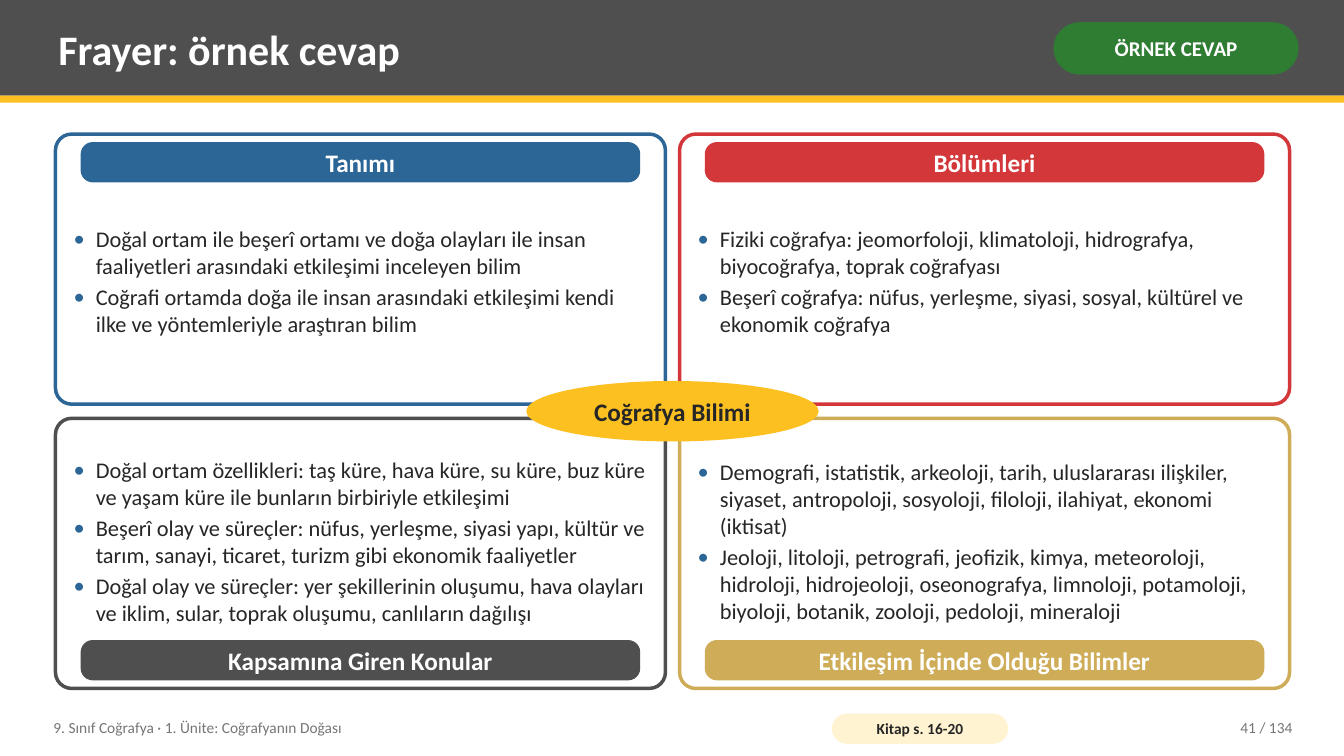
from collections import namedtuple

from lxml.etree import SubElement
from pptx import Presentation
from pptx.dml.color import RGBColor
from pptx.enum.shapes import MSO_SHAPE
from pptx.enum.text import MSO_ANCHOR, MSO_AUTO_SIZE, PP_ALIGN
from pptx.oxml.ns import qn
from pptx.util import Inches, Pt

COLUMNS, ROWS = 1333, 750
UNIT = Inches(0.01)
GAP = 14
FONT = "Calibri"
COLORS = {
    "white": "FFFFFF",
    "ink": "262626",
    "gray": "4F4F4F",
    "muted": "767676",
    "yellow": "FCC021",
    "cream": "FFF3D1",
    "green": "2E7D32",
    "blue": "2C6696",
    "red": "D3373A",
    "gold": "CEAC58",
}
Box = namedtuple("Box", "left top width height")
Panel = namedtuple("Panel", "heading color items")

PANELS = [
    Panel("Tanımı", "blue", [
        "Doğal ortam ile beşerî ortamı ve doğa olayları ile insan faaliyetleri arasındaki etkileşimi inceleyen bilim",
        "Coğrafi ortamda doğa ile insan arasındaki etkileşimi kendi ilke ve yöntemleriyle araştıran bilim",
    ]),
    Panel("Bölümleri", "red", [
        "Fiziki coğrafya: jeomorfoloji, klimatoloji, hidrografya, biyocoğrafya, toprak coğrafyası",
        "Beşerî coğrafya: nüfus, yerleşme, siyasi, sosyal, kültürel ve ekonomik coğrafya",
    ]),
    Panel("Kapsamına Giren Konular", "gray", [
        "Doğal ortam özellikleri: taş küre, hava küre, su küre, buz küre ve yaşam küre ile bunların birbiriyle etkileşimi",
        "Beşerî olay ve süreçler: nüfus, yerleşme, siyasi yapı, kültür ve tarım, sanayi, ticaret, turizm gibi ekonomik faaliyetler",
        "Doğal olay ve süreçler: yer şekillerinin oluşumu, hava olayları ve iklim, sular, toprak oluşumu, canlıların dağılışı",
    ]),
    Panel("Etkileşim İçinde Olduğu Bilimler", "gold", [
        "Demografi, istatistik, arkeoloji, tarih, uluslararası ilişkiler, siyaset, antropoloji, sosyoloji, filoloji, ilahiyat, ekonomi (iktisat)",
        "Jeoloji, litoloji, petrografi, jeofizik, kimya, meteoroloji, hidroloji, hidrojeoloji, oseonografya, limnoloji, potamoloji, biyoloji, botanik, zooloji, pedoloji, mineraloji",
    ]),
]


def color(name):
    return RGBColor.from_string(COLORS[name])


def lengths(box):
    return [value * UNIT for value in box]


def write(shape, text, size, ink, bold=False, align=PP_ALIGN.LEFT, insets=(8, 4)):
    frame = shape.text_frame
    frame.text = text
    frame.word_wrap = True
    frame.auto_size = MSO_AUTO_SIZE.NONE
    frame.vertical_anchor = MSO_ANCHOR.MIDDLE
    frame.margin_left = frame.margin_right = insets[0] * UNIT
    frame.margin_top = frame.margin_bottom = insets[1] * UNIT
    for para in frame.paragraphs:
        para.alignment = align
        para.space_before = Pt(0)
        for span in para.runs:
            span.font.name = FONT
            span.font.size = Pt(size)
            span.font.bold = bold
            span.font.color.rgb = color(ink)


def add_block(page, kind, box, fill, rounding=None, border=None):
    shape = page.shapes.add_shape(kind, *lengths(box))
    shape.shadow.inherit = False
    shape.fill.solid()
    shape.fill.fore_color.rgb = color(fill)
    if border:
        shape.line.color.rgb = color(border)
        shape.line.width = Pt(2.5)
    else:
        shape.line.fill.background()
    if rounding is not None:
        shape.adjustments[0] = rounding
    return shape


def add_label(page, kind, box, fill, text, size, ink, insets, rounding=None):
    shape = add_block(page, kind, box, fill, rounding)
    write(shape, text, size, ink, True, PP_ALIGN.CENTER, insets)


def place_on_top(placeholder, box):
    placeholder.left, placeholder.top, placeholder.width, placeholder.height = lengths(box)
    placeholder.element.getparent().append(placeholder.element)


def add_bullet(para):
    properties = para._p.get_or_add_pPr()
    properties.set("marL", str(22 * UNIT))
    properties.set("indent", str(-22 * UNIT))
    tint = SubElement(properties, qn("a:buClr"))
    SubElement(tint, qn("a:srgbClr"), val=COLORS["blue"])
    SubElement(properties, qn("a:buFont"), typeface=FONT)
    SubElement(properties, qn("a:buChar"), char="•")


def draw_header(page, box):
    add_block(page, MSO_SHAPE.RECTANGLE, box, "gray")
    add_block(page, MSO_SHAPE.RECTANGLE, Box(box.left, box.top + box.height, box.width, 7), "yellow")
    title = page.shapes.title
    place_on_top(title, Box(box.left + 50, box.top + 7, 975, 82))
    write(title, "Frayer: örnek cevap", 30, "white", True)
    badge = Box(box.left + box.width - 288, box.top + 22, 243, 52)
    add_label(page, MSO_SHAPE.ROUNDED_RECTANGLE, badge, "green", "ÖRNEK CEVAP", 15, "white", (5, 2), 0.5)


def draw_panel(page, box, panel, body, heading_on_top):
    add_block(page, MSO_SHAPE.ROUNDED_RECTANGLE, box, "white", 0.06, panel.color)
    heading_offset, body_offset = (8, 51) if heading_on_top else (box.height - 48, 27)
    heading = Box(box.left + 25, box.top + heading_offset, box.width - 50, 40)
    add_label(page, MSO_SHAPE.ROUNDED_RECTANGLE, heading, panel.color, panel.heading, 18, "white", (14, 1), 0.3)
    place_on_top(body, Box(box.left + 10, box.top + body_offset, box.width - 20, 190))
    write(body, "\n".join(panel.items), 16, "ink")
    paragraphs = body.text_frame.paragraphs
    for para in paragraphs:
        add_bullet(para)
    for para in paragraphs[:-1]:
        para.space_after = Pt(3)


def draw_frayer(page, box):
    width, height = (box.width - GAP) / 2, (box.height - GAP) / 2
    bodies = [shape for shape in page.placeholders if shape.placeholder_format.idx != 0]
    for index, (panel, body) in enumerate(zip(PANELS, bodies)):
        row, column = divmod(index, 2)
        cell = Box(box.left + column * (width + GAP), box.top + row * (height + GAP), width, height)
        cell = Box(*(int(value) for value in cell))
        draw_panel(page, cell, panel, body, row == 0)
    center = Box(box.left + box.width // 2 - 145, box.top + box.height // 2 - 30, 290, 60)
    add_label(page, MSO_SHAPE.OVAL, center, "yellow", "Coğrafya Bilimi", 18, "ink", (3, 2))


def draw_footer(page, box):
    unit_name = Box(box.left, box.top, 760, box.height)
    page_number = Box(box.left + box.width - 160, box.top, 160, box.height)
    notes = [
        (unit_name, "9. Sınıf Coğrafya · 1. Ünite: Coğrafyanın Doğası", PP_ALIGN.LEFT),
        (page_number, "41 / 134", PP_ALIGN.RIGHT),
    ]
    for area, text, align in notes:
        write(page.shapes.add_textbox(*lengths(area)), text, 11, "muted", align=align)
    pages = Box(box.left + 780, box.top + 4, 175, 30)
    add_label(page, MSO_SHAPE.ROUNDED_RECTANGLE, pages, "cream", "Kitap s. 16-20", 11, "ink", (4, 0), 0.5)


def main():
    deck = Presentation()
    deck.slide_width, deck.slide_height = COLUMNS * UNIT, ROWS * UNIT
    page = deck.slides.add_slide(deck.slide_layouts.get_by_name("Comparison"))
    draw_header(page, Box(0, 0, COLUMNS, 95))
    draw_frayer(page, Box(55, 133, 1224, 550))
    draw_footer(page, Box(45, 704, 1245, 36))
    deck.save("out.pptx")


if __name__ == "__main__":
    main()
